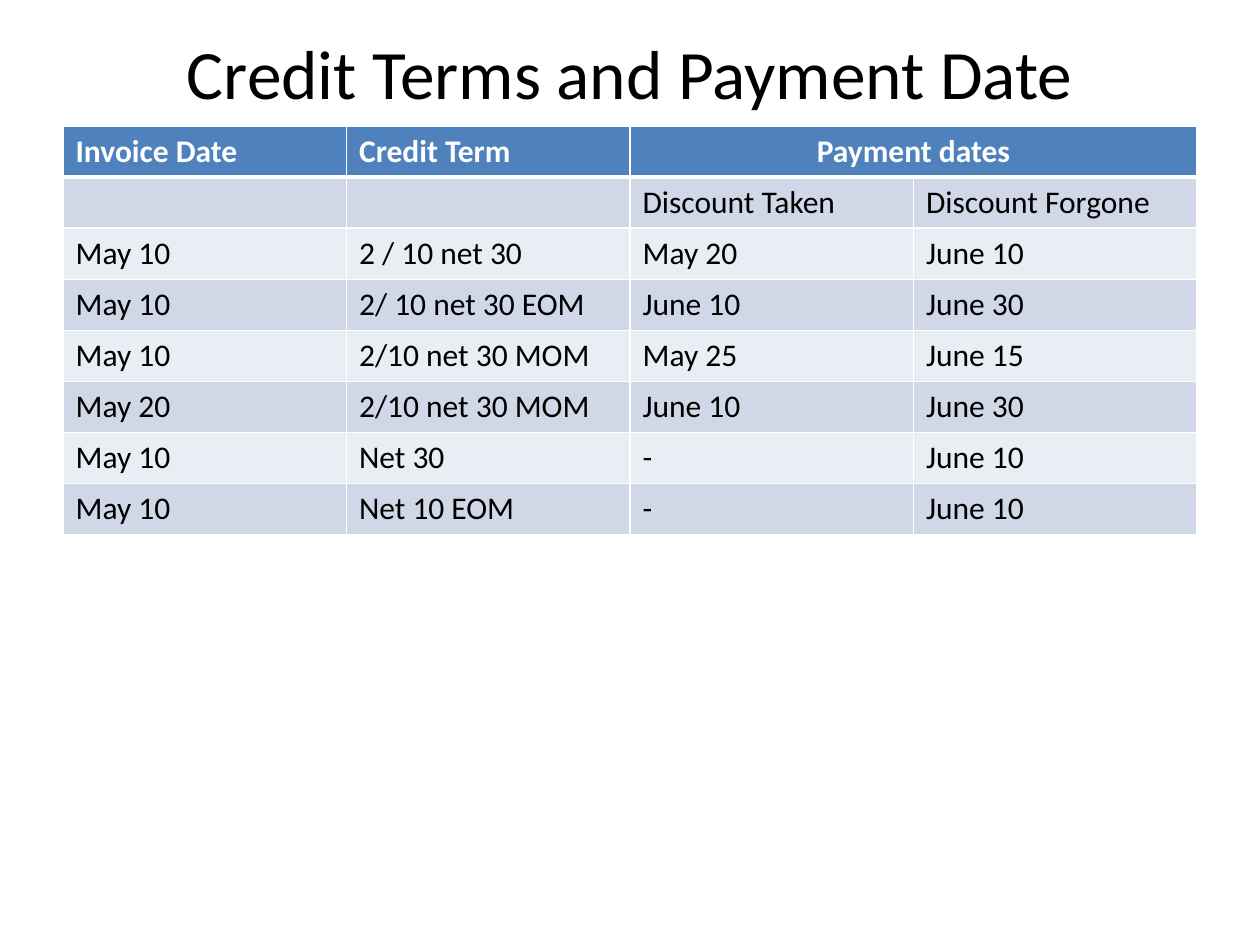
from pptx import Presentation
from pptx.dml.color import RGBColor
from pptx.enum.text import MSO_ANCHOR, MSO_AUTO_SIZE, PP_ALIGN
from pptx.oxml import parse_xml
from pptx.oxml.ns import nsdecls
from pptx.util import Pt

FONT = "Calibri"
WHITE, BLACK = "FFFFFF", "000000"
HEADER, BANDS = "4F81BD", ("E9EDF4", "D0D8E8")
ROWS = [
    ("Invoice Date", "Credit Term", "Payment dates", ""),
    ("", "", "Discount Taken", "Discount Forgone"),
    ("May 10", "2 / 10 net 30", "May 20", "June 10"),
    ("May 10", "2/ 10 net 30 EOM", "June 10", "June 30"),
    ("May 10", "2/10 net 30 MOM", "May 25", "June 15"),
    ("May 20", "2/10 net 30 MOM", "June 10", "June 30"),
    ("May 10", "Net 30", "-", "June 10"),
    ("May 10", "Net 10 EOM", "-", "June 10"),
]


def rgb(value):
    return RGBColor.from_string(value)


class Deck:
    """Holds the style and the current slide."""

    def __init__(self, prs):
        self.s = prs.slides.add_slide(prs.slide_layouts[5])

    def font(self, p, size, color, bold=False):
        p.font.name, p.font.size, p.font.bold = FONT, Pt(size), bold
        p.font.color.rgb = rgb(color)

    def title(self, text, left, top, width, height):
        sp = self.s.shapes.title
        sp.left, sp.top, sp.width, sp.height = map(Pt, (left, top, width, height))
        tf = sp.text_frame
        tf.text = text
        tf.auto_size = MSO_AUTO_SIZE.NONE
        tf.vertical_anchor = MSO_ANCHOR.MIDDLE
        p = tf.paragraphs[0]
        p.alignment = PP_ALIGN.CENTER
        self.font(p, 39.6, BLACK)

    def borders(self, cell, top, bottom):
        tcPr = cell._tc.get_or_add_tcPr()
        widths = {"lnL": 1, "lnR": 1, "lnT": top, "lnB": bottom}
        for i, (tag, width) in enumerate(widths.items()):
            tcPr.insert(i, parse_xml(
                f'<a:{tag} {nsdecls("a")} w="{Pt(width)}"><a:solidFill>'
                f'<a:srgbClr val="{WHITE}"/></a:solidFill></a:{tag}>'))

    def cell(self, cell, text, row):
        header = row == 0
        cell.text = text
        self.font(cell.text_frame.paragraphs[0], 18, WHITE if header else BLACK, header)
        cell.fill.solid()
        cell.fill.fore_color.rgb = rgb(HEADER if header else BANDS[row % 2])
        self.borders(cell, 3 if row == 1 else 1, 3 if header else 1)

    def table(self, rows, left, top, width, row_height):
        table = self.s.shapes.add_table(
            len(rows), len(rows[0]), Pt(left), Pt(top), Pt(width),
            Pt(row_height * len(rows))).table
        for i, row in enumerate(rows):
            table.rows[i].height = Pt(row_height)
            for j, text in enumerate(row):
                self.cell(table.cell(i, j), text, i)
        return table


def main():
    prs = Presentation()
    prs.slide_width, prs.slide_height = Pt(720), Pt(540)
    deck = Deck(prs)
    deck.title("Credit Terms and Payment Date", 36, 21.6, 648, 38.4)
    table = deck.table(ROWS, 36, 72, 648, 29.2)
    payment = table.cell(0, 2)
    payment.merge(table.cell(0, 3))
    payment.text_frame.paragraphs[0].alignment = PP_ALIGN.CENTER
    prs.save("out.pptx")


if __name__ == "__main__":
    main()
